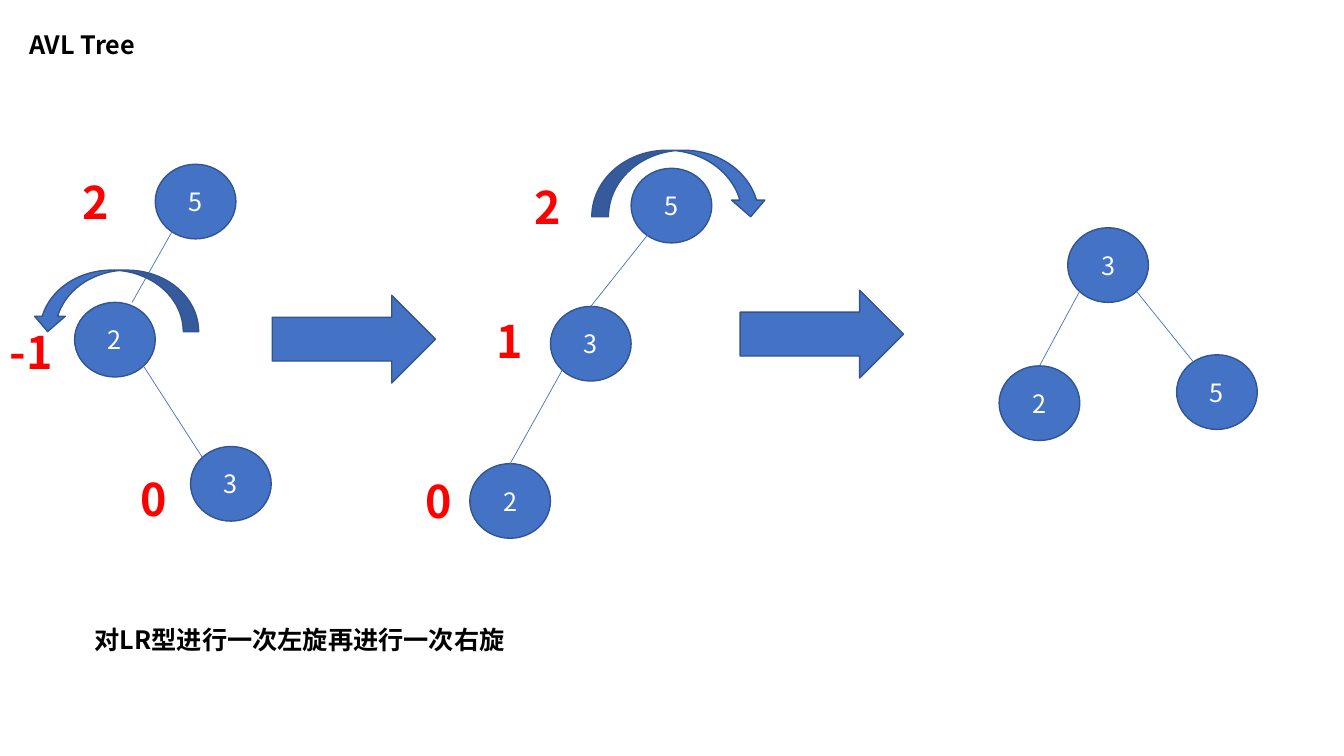
from dataclasses import dataclass
from math import copysign, sqrt

from lxml.etree import SubElement
from pptx import Presentation
from pptx.dml.color import RGBColor
from pptx.enum.shapes import MSO_CONNECTOR as Connector, MSO_SHAPE as Preset
from pptx.enum.text import MSO_ANCHOR as Anchor, MSO_AUTO_SIZE as AutoSize, PP_ALIGN as Align
from pptx.oxml.ns import qn
from pptx.shapes.autoshape import Shape
from pptx.slide import Slide
from pptx.text.text import TextFrame
from pptx.util import Inches, Pt


@dataclass(frozen=True)
class Theme:
    font: str = "Noto Sans CJK SC"
    fill: RGBColor = RGBColor(0x44, 0x72, 0xC4)
    outline: RGBColor = RGBColor(0x32, 0x54, 0x91)
    on_fill: RGBColor = RGBColor(0xFF, 0xFF, 0xFF)
    ink: RGBColor = RGBColor(0, 0, 0)
    balance: RGBColor = RGBColor(0xFF, 0, 0)
    body_size: int = 18
    balance_size: int = 32
    outline_width: float = 1
    edge_width: float = 0.5


THEME = Theme()
NODE_WIDTH, NODE_HEIGHT = 0.8, 0.74


@dataclass(frozen=True)
class Node:
    key: str
    left: float
    top: float

    def site(self, across: int, down: int) -> tuple[float, float]:
        """Point on the rim in one of eight directions, each component -1, 0 or 1."""
        reach = sqrt(across ** 2 + down ** 2)
        return (self.left + NODE_WIDTH / 2 * (1 + across / reach),
                self.top + NODE_HEIGHT / 2 * (1 + down / reach))


@dataclass(frozen=True)
class Edge:
    """Branch from a parent's lower rim; the shifts (x, y) move its ends off the rim sites."""
    parent: Node
    child: Node
    child_site: tuple[int, int] = (0, -1)
    parent_shift: tuple[float, float] = (0, 0)
    child_shift: tuple[float, float] = (0, 0)


@dataclass(frozen=True)
class Arrow:
    preset: Preset
    left: float
    top: float
    width: float
    height: float
    rotation: int = 0


@dataclass(frozen=True)
class Label:
    text: str
    left: float
    top: float
    width: float = 0.39
    height: float = 0.64
    size: int = THEME.balance_size
    color: RGBColor = THEME.balance


LR_5, LR_2, LR_3 = Node("5", 1.54, 1.63), Node("2", 0.74, 3), Node("3", 1.89, 4.43)
LL_5, LL_3, LL_2 = Node("5", 6.26, 1.67), Node("3", 5.46, 3.04), Node("2", 4.66, 4.6)
FINAL_3, FINAL_2, FINAL_5 = Node("3", 10.59, 2.26), Node("2", 9.91, 3.63), Node("5", 11.67, 3.52)
NODES = (LR_5, LR_2, LR_3, LL_5, LL_3, LL_2, FINAL_3, FINAL_2, FINAL_5)

EDGES = (
    Edge(LR_5, LR_2, parent_shift=(0.07, 0), child_shift=(0.17, 0)),
    Edge(LR_2, LR_3, child_site=(-1, -1)),
    Edge(LL_5, LL_3, parent_shift=(0.07, 0)),
    Edge(LL_3, LL_2),
    Edge(FINAL_3, FINAL_2),
    Edge(FINAL_3, FINAL_5, child_site=(-1, -1), child_shift=(0.12, 0.05)),
)

ARROWS = (
    Arrow(Preset.RIGHT_ARROW, 2.7, 2.93, 1.62, 0.87),
    Arrow(Preset.RIGHT_ARROW, 7.34, 2.88, 1.62, 0.87),
    Arrow(Preset.CURVED_RIGHT_ARROW, 0.84, 2.16, 0.61, 1.65, 90),
    Arrow(Preset.CURVED_LEFT_ARROW, 6.41, 0.95, 0.66, 1.74, 270),
)

LABELS = (
    Label("AVL Tree", 0.19, 0.24, 1.35, 0.4, THEME.body_size, THEME.ink),
    Label("对LR型进行一次左旋再进行一次右旋", 0.84, 6.14, 4.38, 0.4, THEME.body_size, THEME.ink),
    Label("2", 0.72, 1.68),
    Label("-1", 0, 3.17, width=0.8),
    Label("0", 1.29, 4.63),
    Label("2", 5.2, 1.73),
    Label("1", 4.83, 3.06),
    Label("0", 4.12, 4.65),
)


def write(frame: TextFrame, text: str, size: int, color: RGBColor, bold: bool = False) -> None:
    run = frame.paragraphs[0].add_run()
    run.text = text
    run.font.name = THEME.font
    run.font.size = Pt(size)
    run.font.bold = bold
    run.font.color.rgb = color
    SubElement(run.font._element, qn("a:ea"), typeface=THEME.font)


def paint(shape: Shape) -> None:
    shape.shadow.inherit = False
    shape.fill.solid()
    shape.fill.fore_color.rgb = THEME.fill
    shape.line.color.rgb = THEME.outline
    shape.line.width = Pt(THEME.outline_width)


def draw_edge(slide: Slide, edge: Edge) -> None:
    side = int(copysign(1, edge.child.left - edge.parent.left))
    start, end = edge.parent.site(side, 1), edge.child.site(*edge.child_site)
    line = slide.shapes.add_connector(
        Connector.STRAIGHT,
        Inches(start[0] + edge.parent_shift[0]), Inches(start[1] + edge.parent_shift[1]),
        Inches(end[0] + edge.child_shift[0]), Inches(end[1] + edge.child_shift[1]))
    line.line.color.rgb = THEME.fill
    line.line.width = Pt(THEME.edge_width)
    SubElement(line._element.spPr, qn("a:effectLst"))


def draw_node(slide: Slide, node: Node) -> None:
    circle = slide.shapes.add_shape(Preset.OVAL, Inches(node.left), Inches(node.top),
                                    Inches(NODE_WIDTH), Inches(NODE_HEIGHT))
    paint(circle)
    circle.text_frame.vertical_anchor = Anchor.MIDDLE
    circle.text_frame.paragraphs[0].alignment = Align.CENTER
    write(circle.text_frame, node.key, THEME.body_size, THEME.on_fill)


def draw_arrow(slide: Slide, arrow: Arrow) -> None:
    shape = slide.shapes.add_shape(arrow.preset, Inches(arrow.left), Inches(arrow.top),
                                   Inches(arrow.width), Inches(arrow.height))
    shape.rotation = arrow.rotation
    paint(shape)


def draw_label(slide: Slide, label: Label) -> None:
    frame = slide.shapes.add_textbox(Inches(label.left), Inches(label.top),
                                     Inches(label.width), Inches(label.height)).text_frame
    frame.word_wrap = True
    frame.auto_size = AutoSize.SHAPE_TO_FIT_TEXT
    write(frame, label.text, label.size, label.color, bold=True)


def main() -> None:
    deck = Presentation()
    deck.slide_width, deck.slide_height = Inches(13.33), Inches(7.5)
    slide = deck.slides.add_slide(deck.slide_layouts[6])
    for node in NODES:
        draw_node(slide, node)
    for edge in EDGES:
        draw_edge(slide, edge)
    for arrow in ARROWS:
        draw_arrow(slide, arrow)
    for label in LABELS:
        draw_label(slide, label)
    deck.save("out.pptx")


if __name__ == "__main__":
    main()
